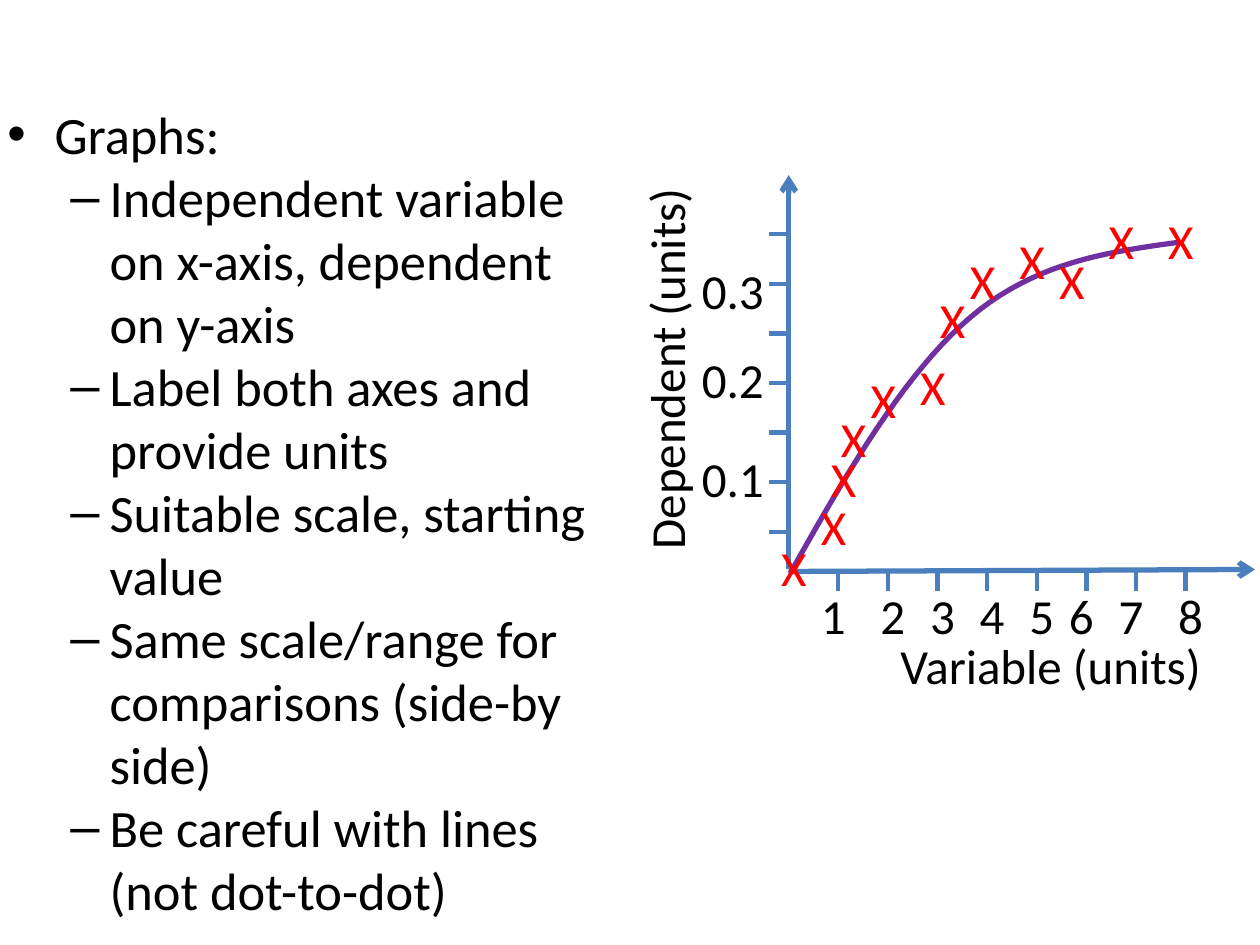
from lxml.etree import SubElement
from pptx import Presentation
from pptx.dml.color import RGBColor
from pptx.enum.shapes import MSO_CONNECTOR
from pptx.enum.text import MSO_AUTO_SIZE
from pptx.oxml.ns import qn
from pptx.util import Cm, Pt


def color(code):
    return RGBColor.from_string(code)


class Sheet:
    font, size, high = "Calibri", 28, 1.44
    ink, blue, red, curve = "000000", "4B7EBC", "FF0000", "7030A0"

    def __init__(self, slide):
        self.slide = slide

    def style(self, para, size, code):
        para.font.name = self.font
        para.font.size = Pt(size)
        para.font.color.rgb = color(code)

    def box(self, x, y, wide, high):
        return self.slide.shapes.add_textbox(Cm(x), Cm(y), Cm(wide), Cm(high))

    def label(self, text, x, y, wide=1.2, code=ink, turn=0):
        box = self.box(x, y, wide, self.high)
        box.rotation = turn
        frame = box.text_frame
        frame.word_wrap = True
        frame.auto_size = MSO_AUTO_SIZE.SHAPE_TO_FIT_TEXT
        para = frame.paragraphs[0]
        para.text = text
        self.style(para, self.size, code)

    def list(self, items, x, y, wide, high, size):
        frame = self.box(x, y, wide, high).text_frame
        frame.word_wrap = True
        looks = [("•", 0.95, -0.95, "Arial"), ("–", 2.06, -0.79, "Arial")]
        for i, (level, text) in enumerate(items):
            para = frame.add_paragraph() if i else frame.paragraphs[0]
            para.text = text
            para.level = level
            self.style(para, size, self.ink)
            mark, left, hang, face = looks[level]
            props = para._p.get_or_add_pPr()
            props.set("marL", str(Cm(left)))
            props.set("indent", str(Cm(hang)))
            SubElement(props, qn("a:buFont")).set("typeface", face)
            SubElement(props, qn("a:buChar")).set("char", mark)

    def line(self, x1, y1, x2, y2, width=2.5, arrow=False):
        line = self.slide.shapes.add_connector(
            MSO_CONNECTOR.STRAIGHT, Cm(x1), Cm(y1), Cm(x2), Cm(y2))
        line.line.color.rgb = color(self.blue)
        line.line.width = Pt(width)
        props = line._element.spPr
        if arrow:
            SubElement(props.find(qn("a:ln")), qn("a:tailEnd")).set("type", "arrow")
        SubElement(props, qn("a:effectLst"))

    def bend(self, start, parts, steps=20):
        """Draw joined cubic curves, each given as two handles and an end."""
        points, first = [], start
        for a, b, end in parts:
            for i in range(1, steps + 1):
                t = i / steps
                u = 1 - t
                points.append(tuple(
                    Cm(u**3 * p + 3 * u * u * t * q + 3 * u * t * t * r + t**3 * s)
                    for p, q, r, s in zip(first, a, b, end)))
            first = end
        path = self.slide.shapes.build_freeform(Cm(start[0]), Cm(start[1]))
        path.add_line_segments(points, close=False)
        shape = path.convert_to_shape()
        shape.shadow.inherit = False
        shape.fill.background()
        shape.line.color.rgb = color(self.curve)
        shape.line.width = Pt(3)


def main():
    deck = Presentation()
    deck.slide_width, deck.slide_height = Cm(25.4), Cm(19.05)
    sheet = Sheet(deck.slides.add_slide(deck.slide_layouts[6]))

    # Advice list
    sheet.list([
        (0, "Graphs:"),
        (1, "Independent variable on x-axis, dependent on y-axis"),
        (1, "Label both axes and provide units"),
        (1, "Suitable scale, starting value"),
        (1, "Same scale/range for comparisons (side-by side)"),
        (1, "Be careful with lines (not dot-to-dot)"),
    ], -0.1, 1.93, 12.4, 16.2, 30)

    # Axes and their titles
    left, base, tick = 15.9, 11.52, 0.4
    sheet.line(left, 11.48, left, 3.53, 3, True)
    sheet.line(left, base, 25.3, 11.48, 3, True)
    sheet.label("Variable (units)", 17.9, 12.68, 7.8)
    sheet.label("Dependent (units)", 9.52, 6.7, 7.8, turn=270)

    # Ticks, one per centimetre
    for i in range(1, 9):
        sheet.line(left + i, base, left + i, base + tick)
    for i in range(7):
        sheet.line(left, 10.72 - i, left - tick, 10.72 - i)

    # Scale numbers
    for i, x in enumerate([16.3, 17.5, 18.5, 19.5, 20.5, 21.3, 22.3, 23.5], 1):
        sheet.label(str(i), x, 11.68)
    for text, y in [("0.1", 8.92), ("0.2", 6.92), ("0.3", 5.12)]:
        sheet.label(text, 13.9, y, 2.4)

    # Best-fit curve
    sheet.bend((15.93, 11.56), [
        ((17.07, 9.53), (18.24, 7.52), (19.56, 6.4)),
        ((20.88, 5.28), (22.33, 5.08), (23.8, 4.88)),
    ])

    # Data marks
    for x, y in [(15.5, 10.72), (16.3, 9.88), (16.5, 8.92), (16.7, 8.12),
                 (17.3, 7.32), (18.3, 7.06), (18.7, 5.72), (19.3, 4.92),
                 (20.3, 4.52), (21.1, 4.92), (22.1, 4.12), (23.3, 4.12)]:
        sheet.label("X", x, y, code=sheet.red)

    deck.save("out.pptx")


if __name__ == "__main__":
    main()
